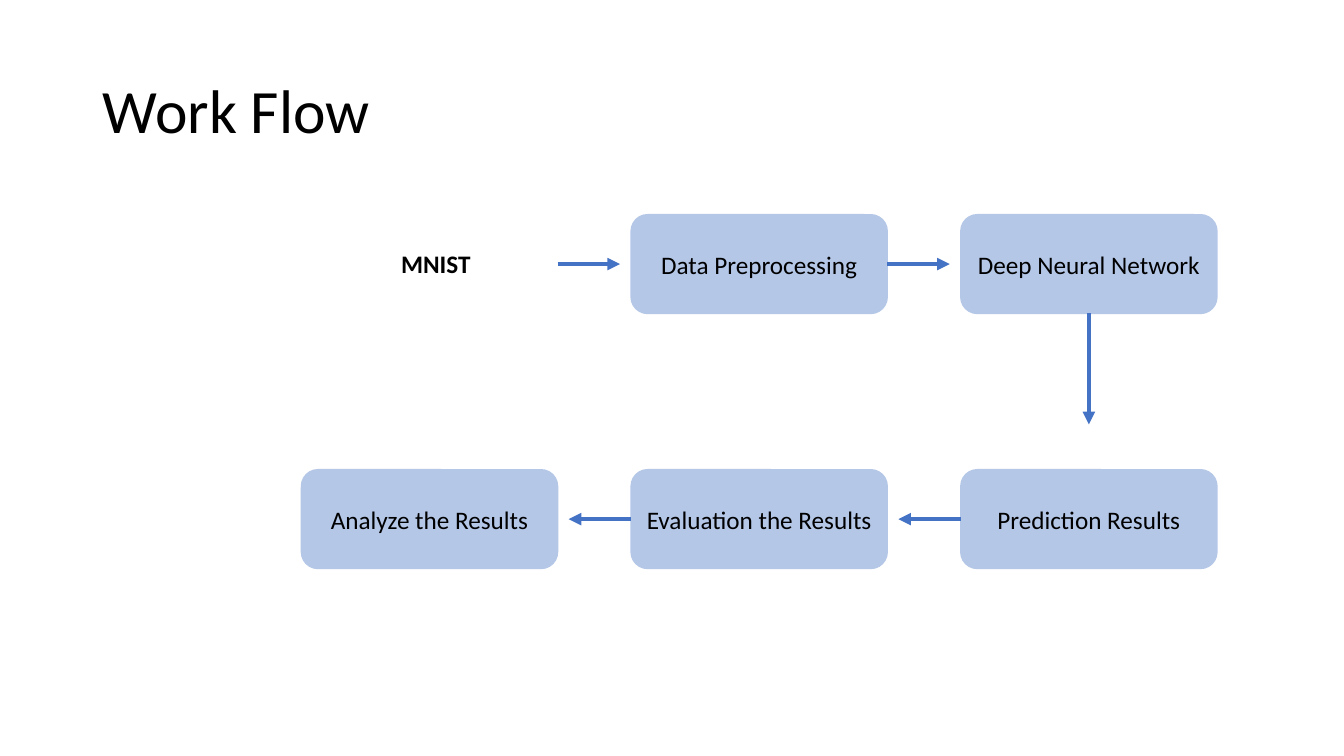
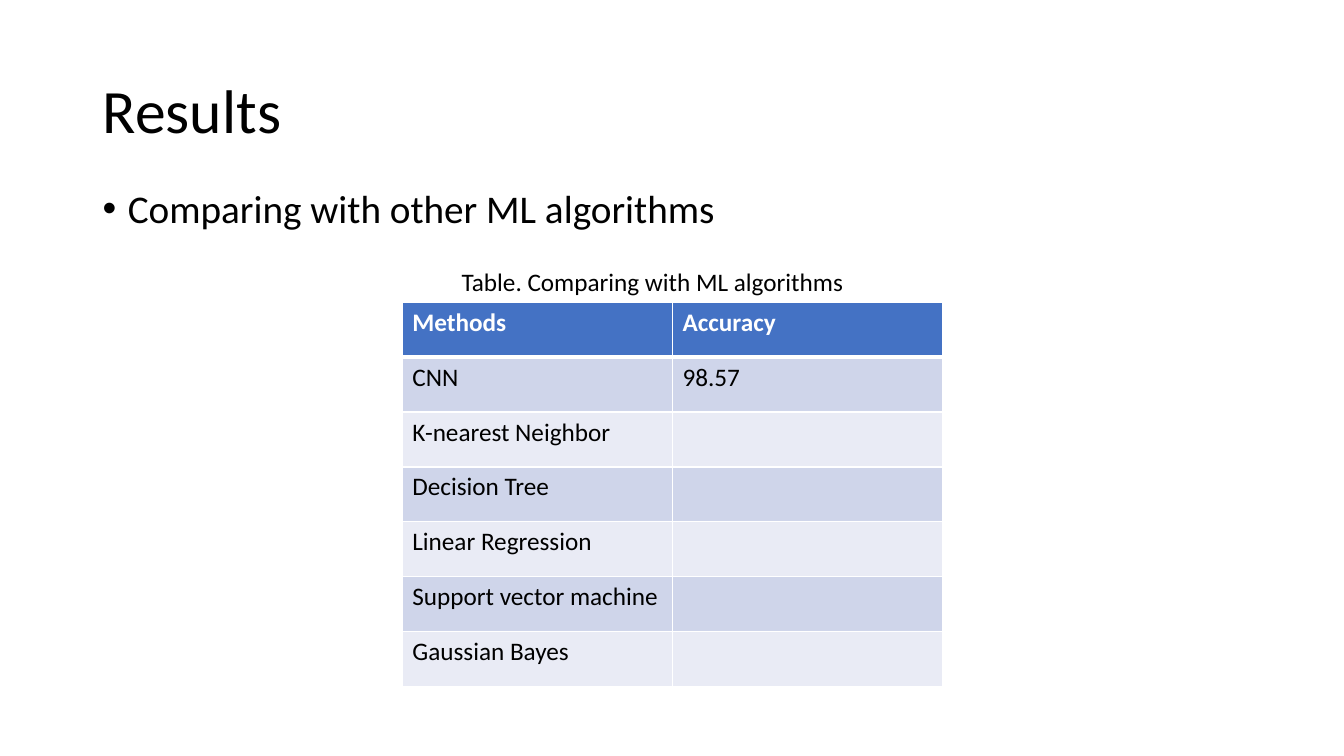
from lxml import etree
from pptx import Presentation
from pptx import util as u
from pptx.dml.color import RGBColor
from pptx.enum import shapes, text
from pptx.oxml.ns import qn

SCALE = 9144
FONT = "Calibri"
BLACK, WHITE = "000000", "FFFFFF"
BLUE, PALE_BLUE = "4472C4", "B4C7E7"
BANDS = ("CFD5EA", "E9EBF5")

STEP_W, STEP_H = 254, 98
COLUMN_X = [299 + 327 * column for column in range(3)]
TOP_ROW, BOTTOM_ROW = 213, 466
ARROW_LENGTH = 62

RESULTS = [
    ("Methods", "Accuracy"),
    ("CNN", "98.57"),
    ("K-nearest Neighbor", ""),
    ("Decision Tree", ""),
    ("Linear Regression", ""),
    ("Support vector machine", ""),
    ("Gaussian Bayes", ""),
]


def px(*lengths):
    """Turn pixel lengths into EMU."""
    return [u.Emu(length * SCALE) for length in lengths]


def rgb(color):
    """Turn a hex string into a colour."""
    return RGBColor.from_string(color)


def write(frame, words, size=18, color=BLACK, bold=False, align=text.PP_ALIGN.LEFT):
    """Put one formatted paragraph into a text frame and return it."""
    frame.text = words
    paragraph = frame.paragraphs[0]
    paragraph.alignment = align
    for run in paragraph.runs:
        run.font.name = FONT
        run.font.size = u.Pt(size)
        run.font.bold = bold
        run.font.color.rgb = rgb(color)
    return paragraph


def add_titled_slide(deck, words):
    """Add a title-only slide with the shared title style."""
    slide = deck.slides.add_slide(deck.slide_layouts[5])
    title = slide.shapes.title
    title.left, title.top, title.width, title.height = px(92, 40, 1150, 145)
    frame = title.text_frame
    frame.auto_size = text.MSO_AUTO_SIZE.NONE
    frame.vertical_anchor = text.MSO_ANCHOR.MIDDLE
    write(frame, words, size=44).line_spacing = 0.9
    return slide


def add_label(slide, words, place, **style):
    """Add a wrapping text box and return its paragraph."""
    frame = slide.shapes.add_textbox(*px(*place)).text_frame
    frame.word_wrap = True
    return write(frame, words, **style)


def add_bullet(slide, words, place):
    """Add a bulleted statement."""
    paragraph = add_label(slide, words, place, size=28)
    paragraph.line_spacing = 0.9
    paragraph.space_before = u.Pt(10)
    properties = paragraph._p.get_or_add_pPr()
    properties.set("marL", str(u.Inches(0.25)))
    properties.set("indent", str(-u.Inches(0.25)))
    etree.SubElement(properties, qn("a:buFont"), typeface="Arial")
    etree.SubElement(properties, qn("a:buChar"), char="•")


def add_step(slide, words, left, top):
    """Add a rounded workflow step."""
    step = slide.shapes.add_shape(
        shapes.MSO_SHAPE.ROUNDED_RECTANGLE, *px(left, top, STEP_W, STEP_H))
    step.shadow.inherit = False
    step.fill.solid()
    step.fill.fore_color.rgb = rgb(PALE_BLUE)
    step.line.color.rgb = rgb(PALE_BLUE)
    step.line.width = u.Pt(1)
    step.text_frame.word_wrap = True
    step.text_frame.vertical_anchor = text.MSO_ANCHOR.MIDDLE
    write(step.text_frame, words, align=text.PP_ALIGN.CENTER)
    return step


def add_arrow(slide, start, end, source=None, side=None):
    """Add an arrow, joined to a side of its source step if there is one."""
    arrow = slide.shapes.add_connector(
        shapes.MSO_CONNECTOR.STRAIGHT, *px(*start, *end))
    if source is not None:
        arrow.begin_connect(source, side)
    arrow.line.color.rgb = rgb(BLUE)
    arrow.line.width = u.Pt(3)
    etree.SubElement(arrow.line._get_or_add_ln(), qn("a:tailEnd"), type="triangle")
    etree.SubElement(arrow._element.spPr, qn("a:effectLst"))


def set_borders(cell, **widths):
    """Draw white cell borders, 1 pt unless a side is given."""
    properties = cell._tc.get_or_add_tcPr()
    for index, side in enumerate(("L", "R", "T", "B")):
        border = etree.Element(
            qn("a:ln" + side), w=str(u.Pt(widths.get(side, 1))))
        fill = etree.SubElement(border, qn("a:solidFill"))
        etree.SubElement(fill, qn("a:srgbClr"), val=WHITE)
        properties.insert(index, border)


def add_results_table(slide, rows, place):
    """Add a banded table with a header row."""
    table = slide.shapes.add_table(len(rows), len(rows[0]), *px(*place)).table
    for row, values in enumerate(rows):
        header = row == 0
        for column, value in enumerate(values):
            cell = table.cell(row, column)
            write(cell.text_frame, value, bold=header,
                  color=WHITE if header else BLACK)
            cell.fill.solid()
            cell.fill.fore_color.rgb = rgb(BLUE if header else BANDS[(row - 1) % 2])
            set_borders(cell, B=3 if header else 1, T=3 if row == 1 else 1)


def build_workflow(deck):
    """Build the workflow slide."""
    slide = add_titled_slide(deck, "Work Flow")
    first, second, third = COLUMN_X
    preprocessing = add_step(slide, "Data Preprocessing", second, TOP_ROW)
    network = add_step(slide, "Deep Neural Network", third, TOP_ROW)
    prediction = add_step(slide, "Prediction Results", third, BOTTOM_ROW)
    add_step(slide, "Analyze the Results", first, BOTTOM_ROW)
    evaluation = add_step(slide, "Evaluation the Results", second, BOTTOM_ROW)
    add_label(slide, "MNIST", (388, 241, 102, 40), bold=True)

    top_middle = TOP_ROW + STEP_H // 2
    for left, source in ((first, None), (second, preprocessing)):
        start = left + STEP_W
        add_arrow(slide, (start, top_middle),
                  (start + ARROW_LENGTH, top_middle), source, 3)

    network_middle = third + STEP_W // 2
    network_bottom = TOP_ROW + STEP_H
    add_arrow(slide, (network_middle, network_bottom),
              (network_middle, network_bottom + 110), network, 2)

    bottom_middle = BOTTOM_ROW + STEP_H // 2
    for left, source in ((third, prediction), (second, evaluation)):
        add_arrow(slide, (left, bottom_middle),
                  (left - ARROW_LENGTH, bottom_middle), source, 1)


def build_results(deck):
    """Build the results slide."""
    slide = add_titled_slide(deck, "Results")
    add_bullet(slide, "Comparing with other ML algorithms", (92, 183, 1150, 476))
    add_results_table(slide, RESULTS, (399, 300, 536, 381))
    add_label(slide, "Table. Comparing with ML algorithms", (448, 259, 419, 40))


def main():
    """Build and save the presentation."""
    deck = Presentation()
    deck.slide_width, deck.slide_height = px(1333, 750)
    build_workflow(deck)
    build_results(deck)
    deck.save("out.pptx")


if __name__ == "__main__":
    main()
